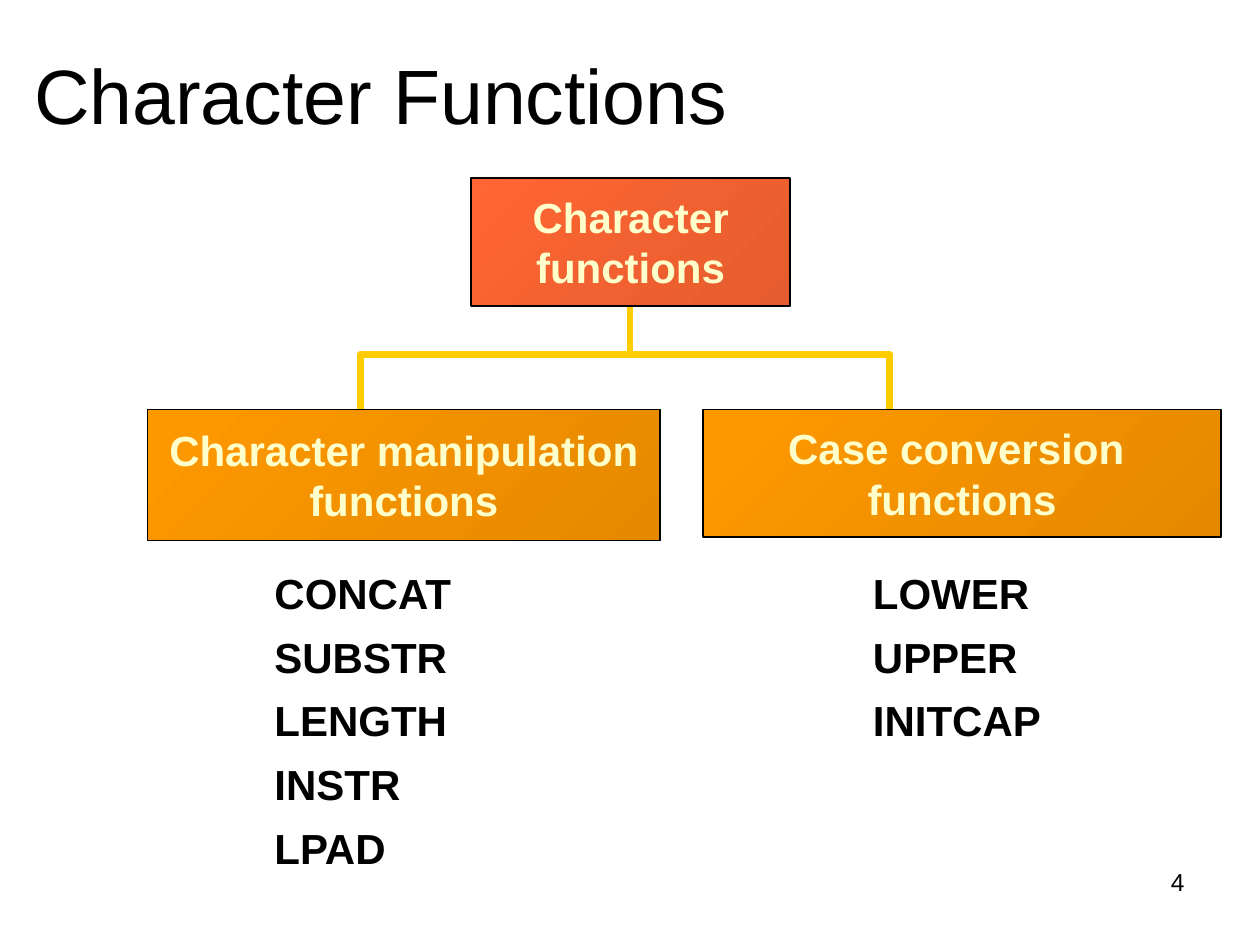
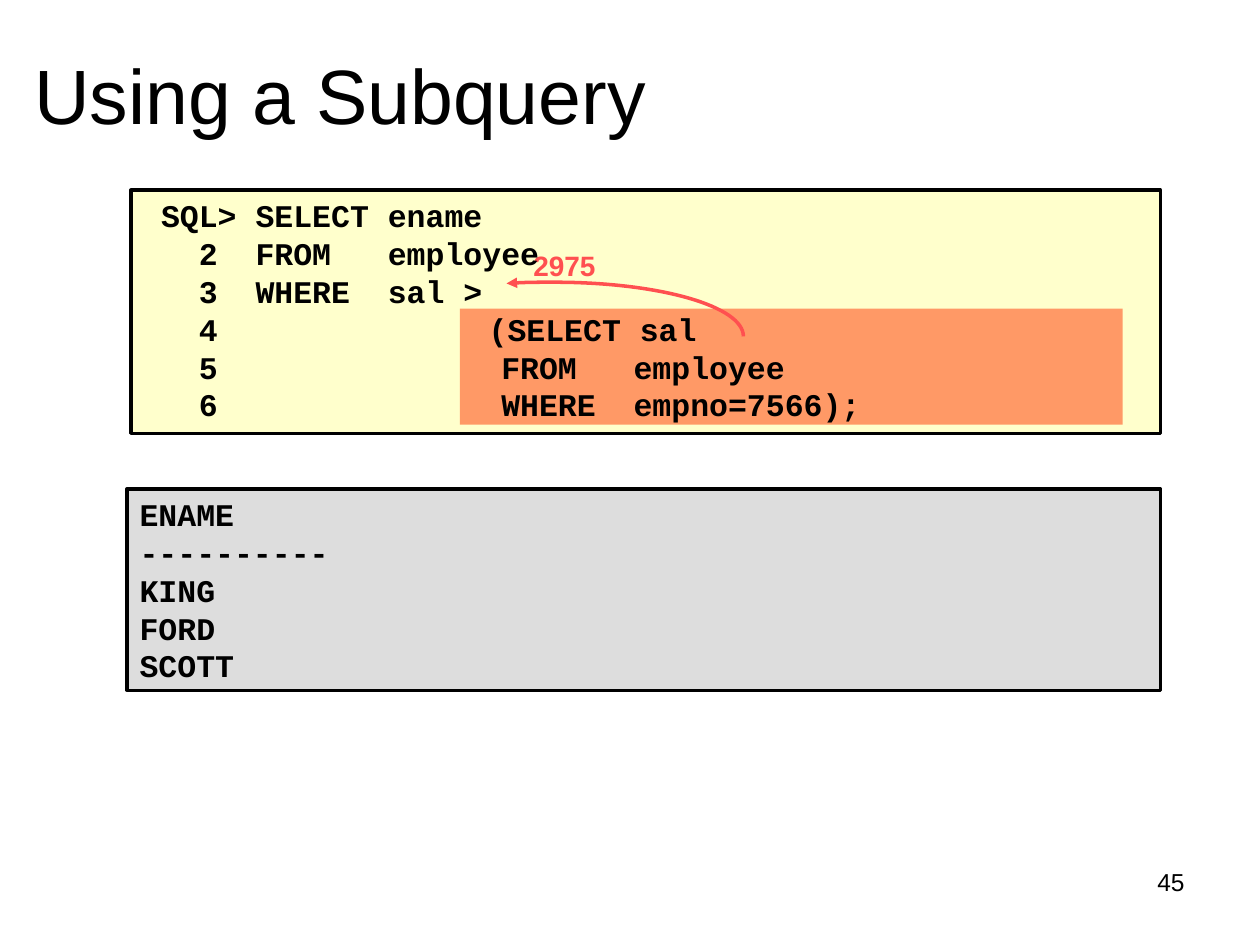
from dataclasses import dataclass

from pptx import Presentation
from pptx.dml.color import RGBColor
from pptx.enum.shapes import MSO_CONNECTOR, MSO_SHAPE
from pptx.enum.text import MSO_ANCHOR, PP_ALIGN
from pptx.oxml.ns import qn
from pptx.util import Inches, Pt
from lxml.etree import SubElement


@dataclass(frozen=True)
class Theme:
    sans: str = "Arial"
    mono: str = "Courier New"
    black: str = "000000"
    cream: str = "FFFFCC"
    list_text: str = "010000"
    branch: str = "FFCC00"
    root: tuple = ("FF6633", "E55C2E")
    group: tuple = ("FF9900", "E58900")
    subquery: str = "FF9966"
    result: str = "DDDDDD"
    accent: str = "FF5050"
    title_size: int = 44
    diagram_size: int = 24
    code_size: int = 18
    value_size: int = 16
    footer_size: int = 14


theme = Theme()


def write(shape, lines, size, color, name=theme.sans, bold=True, align=PP_ALIGN.LEFT,
          anchor=MSO_ANCHOR.TOP, wrap=True, spacing=None, before=0, tabs=()):
    frame = shape.text_frame
    frame.text = "\n".join(lines)
    frame.word_wrap = wrap
    frame.vertical_anchor = anchor
    for index, paragraph in enumerate(frame.paragraphs):
        paragraph.alignment = align
        paragraph.line_spacing = spacing
        if index:
            paragraph.space_before = Pt(before)
        if tabs:
            tab_list = SubElement(paragraph._p.get_or_add_pPr(), qn("a:tabLst"))
            for tab in tabs:
                SubElement(tab_list, qn("a:tab"), pos=str(Inches(tab)), algn="l")
        paragraph.font.name = name
        paragraph.font.size = Pt(size)
        paragraph.font.bold = bold
        paragraph.font.color.rgb = RGBColor.from_string(color)


def add_box(slide, bounds, colors, line_width):
    shape = slide.shapes.add_shape(MSO_SHAPE.RECTANGLE, *map(Inches, bounds))
    shape.shadow.inherit = False
    if isinstance(colors, tuple):
        shape.fill.gradient()
        shape.fill.gradient_angle = 315
        for stop, color in zip(shape.fill.gradient_stops, colors):
            stop.color.rgb = RGBColor.from_string(color)
    else:
        shape.fill.solid()
        shape.fill.fore_color.rgb = RGBColor.from_string(colors)
    if line_width:
        shape.line.color.rgb = RGBColor.from_string(theme.black)
        shape.line.width = Pt(line_width)
    else:
        shape.line.fill.background()
    return shape


presentation = Presentation()
presentation.slide_width = Inches(10)
presentation.slide_height = Inches(7.5)

slides = []
for title_text, number in [("Character Functions", "4"), ("Using a Subquery", "45")]:
    slide = presentation.slides.add_slide(presentation.slide_layouts[5])
    title = slide.shapes.title
    title.left, title.top, title.width, title.height = map(Inches, (0.17, 0.33, 8.5, 1.25))
    write(title, [title_text], theme.title_size, theme.black, bold=False)
    footer = slide.shapes.add_textbox(*map(Inches, (7.17, 6.83, 2.33, 0.52)))
    write(footer, [number], theme.footer_size, theme.black, bold=False, align=PP_ALIGN.RIGHT)
    slides.append(slide)
functions_slide, subquery_slide = slides

stem = functions_slide.shapes.add_connector(
    MSO_CONNECTOR.STRAIGHT, *map(Inches, (5, 2.79, 5, 2.44)))
SubElement(stem._element.spPr, qn("a:effectLst"))
builder = functions_slide.shapes.build_freeform(Inches(2.86), Inches(3.36))
builder.add_line_segments(
    [(Inches(x), Inches(y)) for x, y in [(2.86, 2.81), (7.06, 2.81), (7.06, 3.4)]], close=False)
bracket = builder.convert_to_shape()
bracket.shadow.inherit = False
bracket.fill.background()
for branch in (stem, bracket):
    branch.line.color.rgb = RGBColor.from_string(theme.branch)
    branch.line.width = Pt(4)

for bounds, colors, lines in [
    ((3.74, 1.41, 2.53, 1.02), theme.root, ["Character", "functions"]),
    ((5.58, 3.25, 4.11, 1.01), theme.group, ["Case conversion ", "functions"]),
    ((1.17, 3.25, 4.07, 1.04), theme.group, ["Character manipulation", "functions"]),
]:
    box = add_box(functions_slide, bounds, colors, 1)
    write(box, lines, theme.diagram_size, theme.cream, align=PP_ALIGN.CENTER,
          anchor=MSO_ANCHOR.MIDDLE, wrap=False)

for bounds, names in [
    ((6.83, 4.5, 1.54, 1.47), ["LOWER", "UPPER", "INITCAP"]),
    ((2.08, 4.5, 1.63, 2.48), ["CONCAT", "SUBSTR", "LENGTH", "INSTR", "LPAD"]),
]:
    function_list = functions_slide.shapes.add_textbox(*map(Inches, bounds))
    write(function_list, names, theme.diagram_size, theme.list_text, wrap=False,
          spacing=0.9, before=10.5)

add_box(subquery_slide, (1.04, 1.51, 8.17, 1.93), theme.cream, 2)
add_box(subquery_slide, (3.65, 2.45, 5.26, 0.92), theme.subquery, 0)

curve_points = [(4.15, 2.24), (4.27, 2.24), (4.4, 2.24), (5.23, 2.24), (5.9, 2.43), (5.9, 2.67)]
builder = subquery_slide.shapes.build_freeform(Inches(4.02), Inches(2.25))
builder.add_line_segments([(Inches(x), Inches(y)) for x, y in curve_points], close=False)
arrow = builder.convert_to_shape()
arrow.shadow.inherit = False
arrow.fill.background()
arrow.line.color.rgb = RGBColor.from_string(theme.accent)
arrow.line.width = Pt(2)
SubElement(arrow.line._get_or_add_ln(), qn("a:headEnd"), type="triangle")
outline = next(arrow._element.iter(qn("a:path")))
segments = outline.findall(qn("a:lnTo"))
for start in range(0, len(segments), 3):
    curve = SubElement(outline, qn("a:cubicBezTo"))
    for segment in segments[start:start + 3]:
        curve.append(segment[0])
        outline.remove(segment)

value = subquery_slide.shapes.add_textbox(*map(Inches, (4.13, 1.87, 0.7, 0.42)))
write(value, ["2975"], theme.value_size, theme.accent, align=PP_ALIGN.CENTER,
      wrap=False, spacing=1.2)

query = subquery_slide.shapes.add_textbox(*map(Inches, (1.18, 1.51, 6.2, 1.9)))
write(query, [
    "SQL> SELECT ename",
    "  2  FROM   employee",
    "  3  WHERE  sal >",
    "  4\t\t    (SELECT sal",
    "  5               FROM   employee",
    "  6               WHERE  empno=7566);",
], theme.code_size, theme.black, theme.mono, tabs=range(1, 8))

result = add_box(subquery_slide, (1.01, 3.88, 8.2, 1.6), theme.result, 2)
write(result, ["ENAME", "----------", "KING", "FORD", "SCOTT"], theme.code_size,
      theme.black, theme.mono, anchor=MSO_ANCHOR.MIDDLE)

presentation.save("out.pptx")
